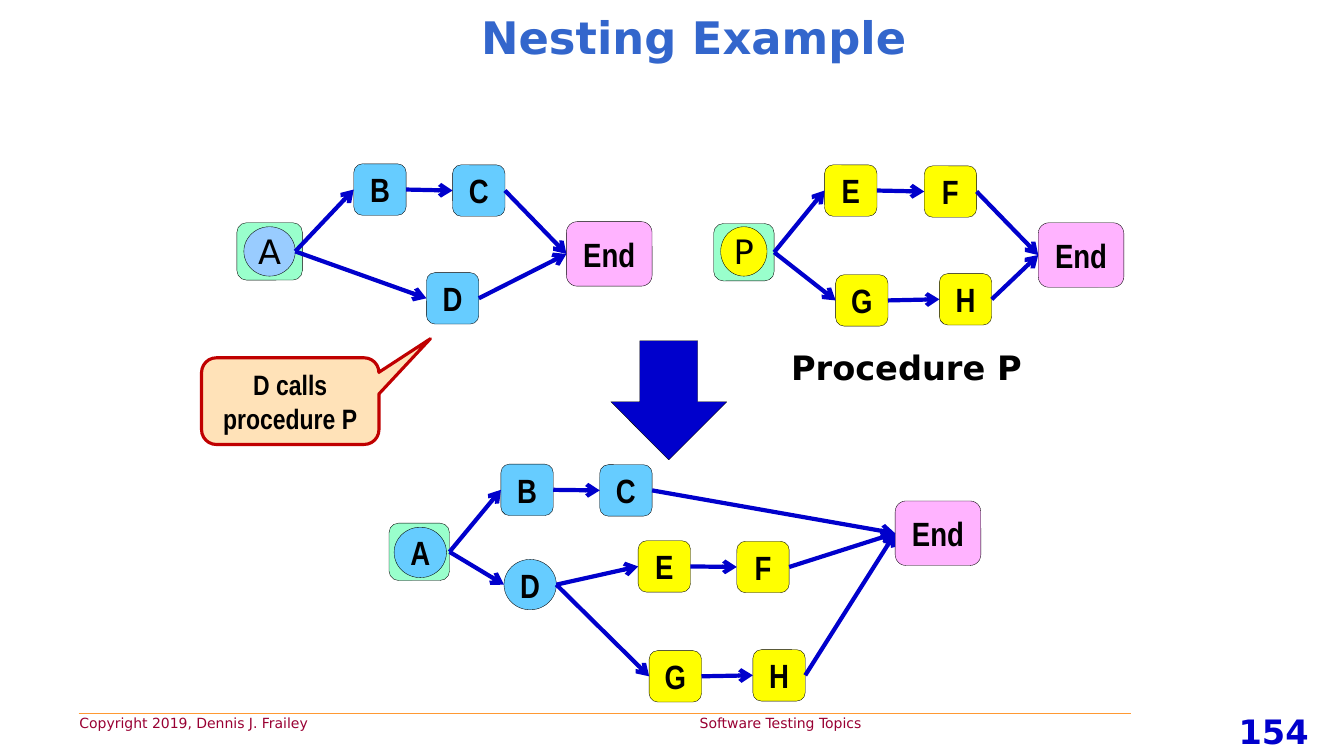
from lxml import etree
from pptx import Presentation
from pptx.dml.color import RGBColor
from pptx.enum import shapes, text
from pptx.oxml import ns
from pptx.util import Pt

# Content
TITLE = "Nesting Example"
CALLOUT = "D calls procedure P"
PROCEDURE = "Procedure P"
FOOTER = "Copyright 2019, Dennis J. Frailey\tSoftware Testing Topics"
PAGE = "154"
COLORS = {"title": "3366CC", "arrow": "0000CC", "footer": "990033",
          "rule": "FF9933", "text": "000000", "pad": "99FFCC",
          "end": "FFB3FF", "blue": "66CCFF", "pale": "99CCFF",
          "yellow": "FFFF00", "callout": "FFE2B8", "border": "C00000"}
NARROW, SANS = "Arial Narrow", "DejaVu Sans"

# Node kinds: outline, width, height, fill, font, bold
ROUND = shapes.MSO_SHAPE.ROUNDED_RECTANGLE
OVAL = shapes.MSO_SHAPE.OVAL
KINDS = {
    "wide pad": (ROUND, 46.8, 41, "pad", NARROW, True),
    "pad": (ROUND, 43.2, 41, "pad", NARROW, True),
    "end": (ROUND, 61.2, 46.1, "end", NARROW, True),
    "blue": (ROUND, 37.4, 36.7, "blue", NARROW, True),
    "yellow": (ROUND, 37.4, 36.7, "yellow", NARROW, True),
    "start A": (OVAL, 36.7, 35.3, "pale", SANS, False),
    "start P": (OVAL, 33.1, 35.3, "yellow", SANS, False),
    "circle": (OVAL, 37.4, 36, "blue", NARROW, True),
}

# Graphs: nodes (label, kind, left, middle) and edges between labels
GRAPHS = [
    ([("", "wide pad", 169.2, 179.6), ("A", "start A", 174.2, 179.6),
      ("B", "blue", 252.7, 135.4), ("C", "blue", 323.3, 136.1),
      ("D", "blue", 304.6, 213.1), ("End", "end", 404.6, 181.4)],
     [("A", "B"), ("A", "D"), ("B", "C"), ("C", "End"), ("D", "End")]),
    ([("", "pad", 509.8, 180.2), ("P", "start P", 514.8, 179.6),
      ("E", "yellow", 589, 136.1), ("F", "yellow", 660.2, 136.8),
      ("G", "yellow", 596.9, 214.6), ("H", "yellow", 671, 213.8),
      ("End", "end", 741.6, 182.2)],
     [("", "E"), ("", "G"), ("E", "F"), ("F", "End"), ("G", "H"),
      ("H", "End")]),
    ([("", "pad", 277.9, 394.2), ("A", "circle", 281.5, 394.6),
      ("B", "blue", 357.8, 349.9), ("C", "blue", 428.4, 350.3),
      ("D", "circle", 360, 417.6),
      ("E", "yellow", 455.8, 404.6), ("F", "yellow", 526.3, 405),
      ("G", "yellow", 463.7, 483.1), ("H", "yellow", 537.8, 482.4),
      ("End", "end", 639.4, 380.9)],
     [("", "B"), ("", "D"), ("B", "C"), ("C", "End"), ("D", "E"),
      ("D", "G"), ("E", "F"), ("F", "End"), ("G", "H"), ("H", "End")]),
]


def rgb(name):
    return RGBColor.from_string(COLORS[name])


def write(sp, content, size=24, font=NARROW, color="text", bold=True,
          align=text.PP_ALIGN.CENTER, anchor=text.MSO_ANCHOR.MIDDLE,
          wrap=True, margin=None, tab=None):
    tf = sp.text_frame
    tf.word_wrap = wrap
    tf.auto_size = text.MSO_AUTO_SIZE.NONE
    tf.vertical_anchor = anchor
    if margin is not None:
        tf.margin_left = tf.margin_right = Pt(margin)
        tf.margin_top = tf.margin_bottom = Pt(margin)
    p = tf.paragraphs[0]
    p.alignment = align
    if tab:
        tabs = etree.SubElement(p._p.get_or_add_pPr(), ns.qn("a:tabLst"))
        etree.SubElement(tabs, ns.qn("a:tab"), pos=str(Pt(tab)), algn="l")
    r = p.add_run()
    r.text = content
    r.font.size, r.font.name, r.font.bold = Pt(size), font, bold
    r.font.color.rgb = rgb(color)


def add_box(slide, outline, x, y, w, h, fill, line="text", width=0.25):
    sp = slide.shapes.add_shape(outline, Pt(x), Pt(y), Pt(w), Pt(h))
    sp.shadow.inherit = False
    sp.fill.solid()
    sp.fill.fore_color.rgb = rgb(fill)
    sp.line.color.rgb = rgb(line)
    sp.line.width = Pt(width)
    return sp


def add_line(slide, x1, y1, x2, y2, color, width, arrow=False):
    line = slide.shapes.add_connector(
        shapes.MSO_CONNECTOR.STRAIGHT, x1, y1, x2, y2)
    line.line.color.rgb = rgb(color)
    line.line.width = Pt(width)
    if arrow:
        ln = line.line._get_or_add_ln()
        etree.SubElement(ln, ns.qn("a:tailEnd"), type="arrow")
    etree.SubElement(line._element.spPr, ns.qn("a:effectLst"))
    return line


def add_edge(slide, a, b):
    line = add_line(slide, a.left + a.width, a.top + a.height // 2,
                    b.left, b.top + b.height // 2, "arrow", 3, arrow=True)
    if a.auto_shape_type == ROUND:
        line.begin_connect(a, 3)
    if b.auto_shape_type == ROUND:
        line.end_connect(b, 1)


def add_graph(slide, nodes, edges):
    placed = {}
    for label, kind, left, middle in nodes:
        outline, w, h, fill, font, bold = KINDS[kind]
        sp = add_box(slide, outline, left, middle - h / 2, w, h, fill)
        if label:
            write(sp, label, font=font, bold=bold, wrap=False, margin=0)
        placed[label] = sp
    for start, end in edges:
        add_edge(slide, placed[start], placed[end])


def add_text(slide, x, y, w, h, content, **style):
    sp = slide.shapes.add_textbox(Pt(x), Pt(y), Pt(w), Pt(h))
    write(sp, content, **style)


def main():
    prs = Presentation()
    prs.slide_width, prs.slide_height = Pt(960), Pt(540)
    slide = prs.slides.add_slide(prs.slide_layouts[5])

    # Title
    title = slide.shapes.title
    title.left, title.top = Pt(68.4), Pt(0)
    title.width, title.height = Pt(854.6), Pt(52.6)
    write(title, TITLE, size=32, font=SANS, color="title")

    # Footer
    top, left = text.MSO_ANCHOR.TOP, text.PP_ALIGN.LEFT
    add_line(slide, Pt(56.2), Pt(509.8), Pt(807.8), Pt(509.8), "rule", 0.75)
    add_text(slide, 49.7, 506.9, 766, 19.4, FOOTER, size=10, font=SANS,
             color="footer", bold=False, align=left, anchor=top, tab=443)
    add_text(slide, 859, 504, 101.5, 36, PAGE, font=SANS, color="arrow",
             anchor=top)

    # Flow graphs
    for nodes, edges in GRAPHS:
        add_graph(slide, nodes, edges)

    # Big arrow, callout and caption
    add_box(slide, shapes.MSO_SHAPE.DOWN_ARROW, 436.3, 243.4, 82.8, 85,
            "arrow")
    callout = add_box(slide, shapes.MSO_SHAPE.ROUNDED_RECTANGULAR_CALLOUT,
                      144, 255.6, 126.7, 61.9, "callout", "border", 2.25)
    for i, value in enumerate((0.79, -0.72, 0.17)):
        callout.adjustments[i] = value
    write(callout, CALLOUT, size=20)
    add_text(slide, 558, 244.1, 188.6, 36, PROCEDURE, font=SANS, align=left,
             anchor=top)

    prs.save("out.pptx")


if __name__ == "__main__":
    main()
